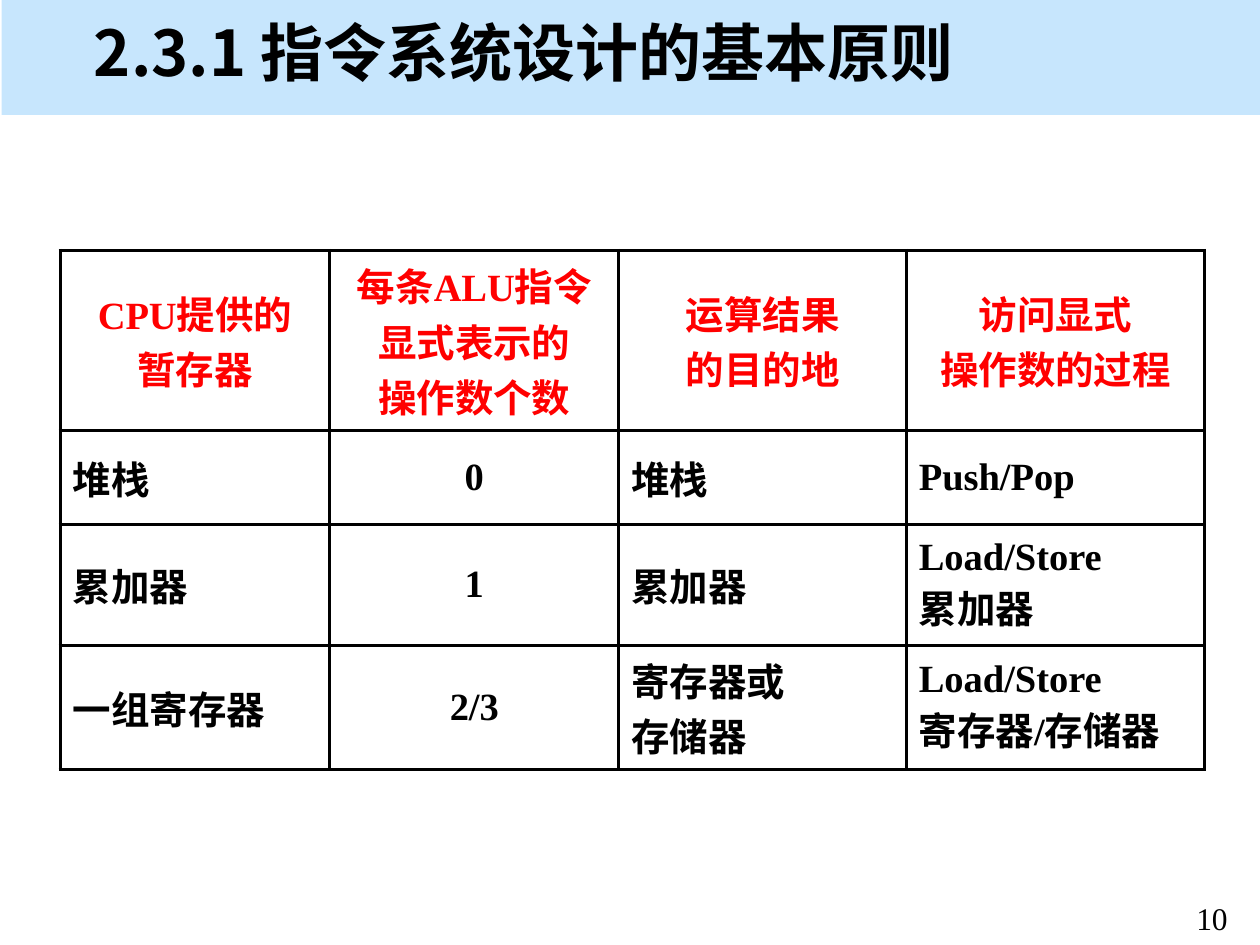
from lxml.etree import SubElement
from pptx import Presentation
from pptx.dml.color import RGBColor
from pptx.enum.shapes import MSO_SHAPE
from pptx.enum.text import MSO_ANCHOR, PP_ALIGN
from pptx.oxml.ns import qn
from pptx.util import Pt

BLACK = RGBColor(0, 0, 0)
RED = RGBColor(255, 0, 0)
SKY = RGBColor(0xC7, 0xE6, 0xFD)
SANS, SERIF = "Noto Sans CJK SC", "Times New Roman"

TITLE = "2.3.1 指令系统设计的基本原则"
PAGE = "10"
ROWS = [
    ["CPU提供的\n暂存器", "每条ALU指令\n显式表示的\n操作数个数",
     "运算结果\n的目的地", "访问显式\n操作数的过程"],
    ["堆栈", "0", "堆栈", "Push/Pop"],
    ["累加器", "1", "累加器", "Load/Store\n累加器"],
    ["一组寄存器", "2/3", "寄存器或\n存储器", "Load/Store\n寄存器/存储器"],
]
WIDTHS = [154, 165.3, 164.2, 170.6]
HEIGHTS = [102.9, 53.8, 69.1, 70.7]
COUNT_COL = 1

TITLE_FONT = dict(name=SANS, size=Pt(36), bold=True)
PAGE_FONT = dict(name=SERIF, size=Pt(18), bold=False)
CELL_FONT = dict(name=SERIF, size=Pt(22), bold=True)


def write(frame, text, font, color=BLACK, align=PP_ALIGN.LEFT):
    """Fill a text frame, one paragraph a line, with CJK glyphs in SANS."""
    frame.text = text
    for para in frame.paragraphs:
        para.alignment = align
        for run in para.runs:
            for key, value in font.items():
                setattr(run.font, key, value)
            run.font.color.rgb = color
            SubElement(run.font._element, qn("a:ea"), typeface=SANS)


def border(cell):
    """Draw a 2 pt black line on all four sides of a cell."""
    props = cell._tc.get_or_add_tcPr()
    for side in ("lnL", "lnR", "lnT", "lnB"):
        line = SubElement(props, qn("a:" + side), w=str(Pt(2)))
        fill = SubElement(line, qn("a:solidFill"))
        SubElement(fill, qn("a:srgbClr"), val=str(BLACK))


def place(shape, *box):
    for key, value in zip(("left", "top", "width", "height"), box):
        setattr(shape, key, Pt(value))


def main():
    deck = Presentation()
    deck.slide_width, deck.slide_height = Pt(720), Pt(540)
    slide = deck.slides.add_slide(deck.slide_layouts[5])
    shapes = slide.shapes

    band = shapes.add_shape(MSO_SHAPE.RECTANGLE, Pt(1), 0, Pt(719), Pt(65.7))
    band.shadow.inherit = False
    band.fill.solid()
    band.fill.fore_color.rgb = SKY
    band.line.fill.background()

    title = shapes.title
    band._element.addnext(title._element)
    place(title, 46.5, 5, 617.8, 48.2)
    title.text_frame.vertical_anchor = MSO_ANCHOR.MIDDLE
    write(title.text_frame, TITLE, TITLE_FONT)

    page = shapes.add_textbox(Pt(667.4), Pt(510.2), Pt(50.4), Pt(23.8))
    page.text_frame.word_wrap = True
    write(page.text_frame, PAGE, PAGE_FONT, align=PP_ALIGN.CENTER)

    table = shapes.add_table(len(ROWS), len(WIDTHS), Pt(34.4), Pt(143.1),
                             Pt(sum(WIDTHS)), Pt(sum(HEIGHTS))).table
    table.first_row = table.horz_banding = False
    for col, width in zip(table.columns, WIDTHS):
        col.width = Pt(width)
    for r, (row, height) in enumerate(zip(ROWS, HEIGHTS)):
        table.rows[r].height = Pt(height)
        for c, text in enumerate(row):
            cell = table.cell(r, c)
            mid = r == 0 or c == COUNT_COL
            write(cell.text_frame, text, CELL_FONT, BLACK if r else RED,
                  PP_ALIGN.CENTER if mid else PP_ALIGN.LEFT)
            cell.vertical_anchor = MSO_ANCHOR.MIDDLE
            border(cell)
            cell.fill.background()

    deck.save("out.pptx")


if __name__ == "__main__":
    main()
